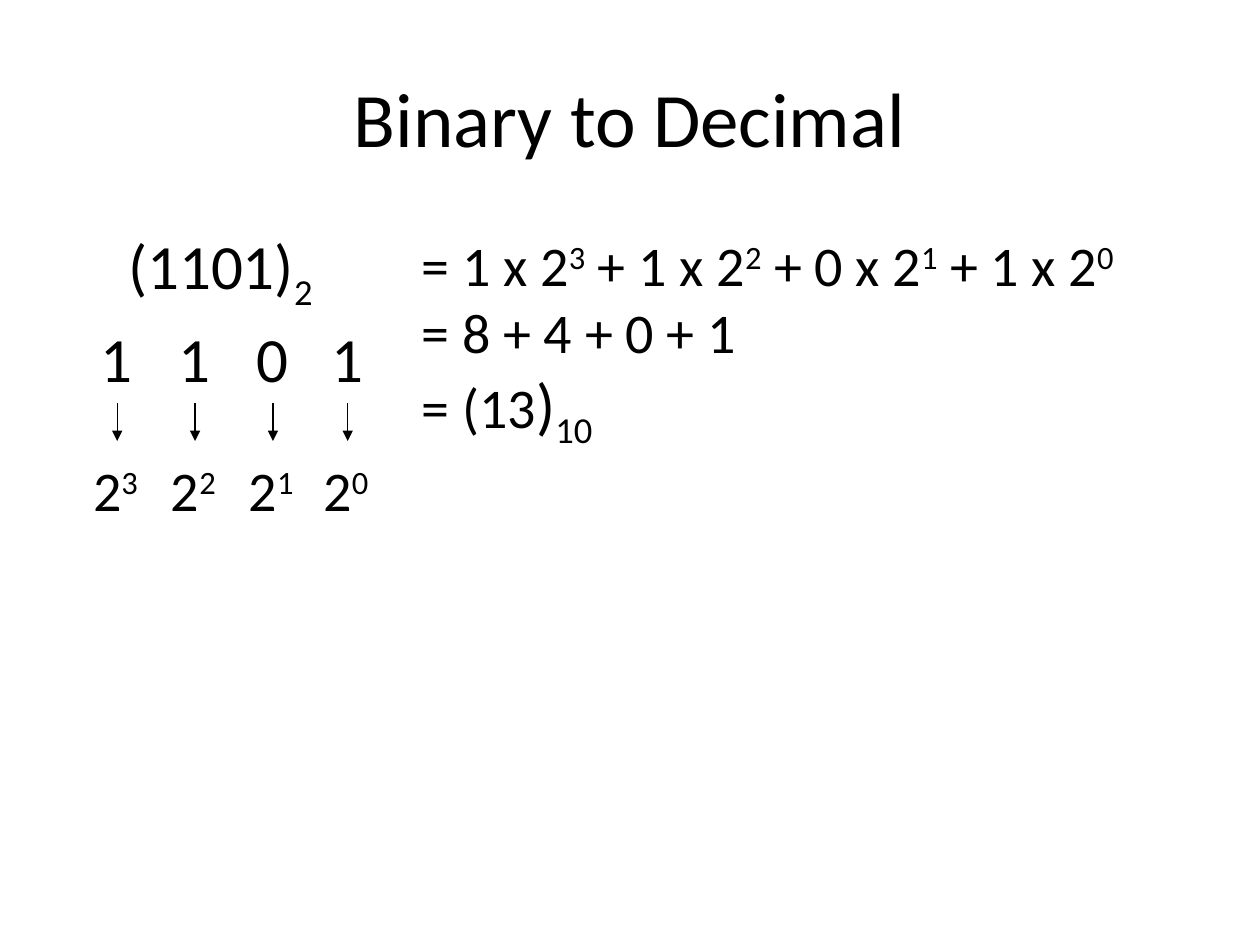
import lxml.etree
import pptx
import pptx.dml.color
import pptx.enum.shapes
import pptx.enum.text
import pptx.oxml.ns
import pptx.util

Pt = pptx.util.Pt
BLACK = pptx.dml.color.RGBColor(0, 0, 0)
SUPERSCRIPT = 30
SUBSCRIPT = -25
COLUMN_CENTERS = (67, 111.5, 156, 198.7)
DIGITS = "1101"
DIGIT_TOP, DIGIT_WIDTH, DIGIT_HEIGHT = 179.3, 33, 51.1
POWER_TOP, POWER_WIDTH, POWER_HEIGHT = 254.2, 41.8, 46.8
ARROW_END = 252


class SlideBuilder:
    font_name = "Calibri"
    color = BLACK
    line_width = 0.75

    def __init__(self, slide):
        self.slide = slide

    def add_text(self, box, paragraphs, size, frame_format=None, paragraph_format=None):
        shape = self.slide.shapes.add_textbox(*map(Pt, box))
        frame = shape.text_frame
        frame_values = {
            "word_wrap": False,
            "auto_size": pptx.enum.text.MSO_AUTO_SIZE.SHAPE_TO_FIT_TEXT,
            **(frame_format or {}),
        }
        for name, value in frame_values.items():
            setattr(frame, name, value)
        for index, runs in enumerate(paragraphs):
            paragraph = frame.add_paragraph() if index else frame.paragraphs[0]
            for name, value in (paragraph_format or {}).items():
                setattr(paragraph, name, value)
            for run_values in runs:
                self.add_run(paragraph, size, *run_values)
        return shape

    def add_run(self, paragraph, size, text, baseline=0, own_size=None):
        run = paragraph.add_run()
        run.text = text
        font_values = {"name": self.font_name, "size": Pt(own_size or size)}
        for name, value in font_values.items():
            setattr(run.font, name, value)
        run.font.color.rgb = self.color
        if baseline:
            run._r.get_or_add_rPr().set("baseline", str(baseline * 1000))

    def add_arrow_below(self, shape, center, end):
        connector = self.slide.shapes.add_connector(
            pptx.enum.shapes.MSO_CONNECTOR.STRAIGHT,
            Pt(center), shape.top + shape.height, Pt(center), Pt(end),
        )
        connector.begin_connect(shape, 2)
        connector.line.color.rgb = self.color
        connector.line.width = Pt(self.line_width)
        qualified_name = pptx.oxml.ns.qn
        line = connector.line._get_or_add_ln()
        lxml.etree.SubElement(line, qualified_name("a:tailEnd"), type="triangle")
        properties = connector._element.spPr
        lxml.etree.SubElement(properties, qualified_name("a:effectLst"))


def main():
    presentation = pptx.Presentation()
    presentation.slide_width = Pt(720)
    presentation.slide_height = Pt(540)
    slide = presentation.slides.add_slide(presentation.slide_layouts[6])
    builder = SlideBuilder(slide)

    builder.add_text(
        (36, 21.6, 648, 90), [[("Binary to Decimal",)]], 44,
        {
            "word_wrap": True,
            "auto_size": pptx.enum.text.MSO_AUTO_SIZE.NONE,
            "vertical_anchor": pptx.enum.text.MSO_ANCHOR.MIDDLE,
        },
        {"alignment": pptx.enum.text.PP_ALIGN.CENTER},
    )
    builder.add_text(
        (66.2, 126, 122.4, 51.1), [[(f"({DIGITS})",), ("2", SUBSCRIPT)]], 36
    )

    power_format = {"line_spacing": 1.07, "space_after": Pt(8)}
    for index, (center, digit) in enumerate(zip(COLUMN_CENTERS, DIGITS)):
        exponent = len(DIGITS) - 1 - index
        digit_box = builder.add_text(
            (center - DIGIT_WIDTH / 2, DIGIT_TOP, DIGIT_WIDTH, DIGIT_HEIGHT),
            [[(digit,)]], 36,
        )
        builder.add_arrow_below(digit_box, center, ARROW_END)
        builder.add_text(
            (center - POWER_WIDTH / 2, POWER_TOP, POWER_WIDTH, POWER_HEIGHT),
            [[("2",), (str(exponent), SUPERSCRIPT)]], 32,
            paragraph_format=power_format,
        )

    expansion = []
    for index, digit in enumerate(DIGITS):
        sign = " + " if index else "= "
        exponent = len(DIGITS) - 1 - index
        expansion += [(f"{sign}{digit} x 2",), (str(exponent), SUPERSCRIPT)]
    builder.add_text(
        (234, 128.2, 427.7, 128.2),
        [
            expansion,
            [("= 8 + 4 + 0 + 1",)],
            [("= (13",), (")", 0, 36), ("10", SUBSCRIPT, 36)],
        ],
        32,
    )
    presentation.save("out.pptx")


if __name__ == "__main__":
    main()
